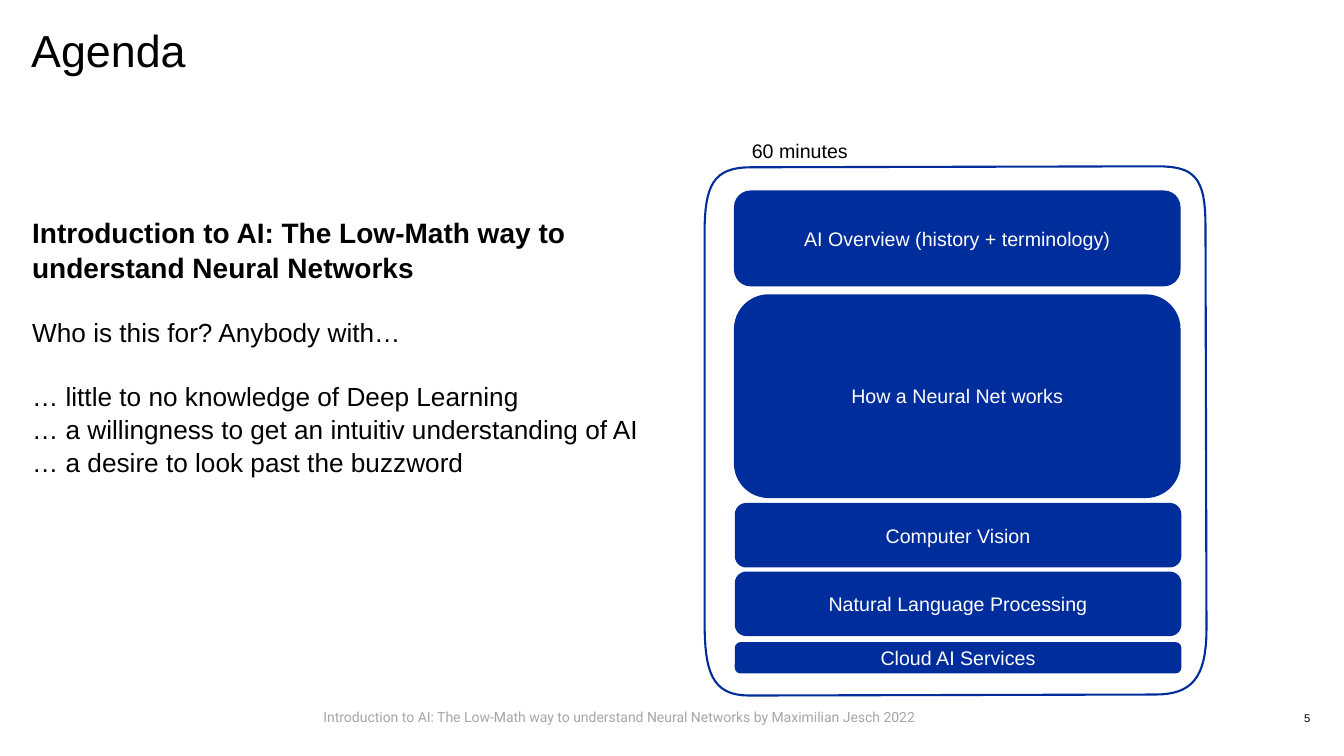
from lxml.etree import SubElement
from pptx import Presentation
from pptx.dml.color import RGBColor
from pptx.enum.shapes import MSO_SHAPE as Shape
from pptx.enum.text import MSO_ANCHOR as Anchor, PP_ALIGN as Align
from pptx.util import Pt

COLORS = {"ink": "000000", "blue": "002D9C", "white": "FFFFFF", "grey": "A6A6A6"}
TITLE_ONLY = 5
TOPICS = [
    ("AI Overview (history + terminology)", 525, 136.8, 67),
    ("How a Neural Net works", 525, 211, 144),
    ("Computer Vision", 525.6, 360, 44.6),
    ("Natural Language Processing", 525.6, 409, 44.6),
    ("Cloud AI Services", 525.6, 459.4, 20.9),
]
FRAME_CORNERS = [
    ((503.3, 166.3), (503.3, 131.8), (509.8, 119.5), (536.4, 119.5)),
    ((826.6, 118.8), (853.2, 118.8), (861.1, 126.7), (861.1, 161.3)),
    ((861.8, 449.3), (861.8, 484.6), (851, 496.1), (825.1, 496.1)),
    ((535, 496.8), (508.3, 496.8), (503.3, 479.5), (503.3, 444.2)),
]
INTRO = [
    ("Introduction to AI: The Low-Math way to understand Neural Networks", 20, True, 0),
    ("Who is this for? Anybody with…", 18.7, False, 22.4),
    ("… little to no knowledge of Deep Learning", 18.7, False, 22.4),
    ("… a willingness to get an intuitiv understanding of AI", 18.7, False, 0),
    ("… a desire to look past the buzzword", 18.7, False, 0),
]


def color(name):
    """Return the named colour."""
    return RGBColor.from_string(COLORS[name])


def write(para, text, size, ink="ink", font="Arial", bold=False, align=Align.LEFT):
    """Add one formatted run to a paragraph."""
    para.alignment = align
    span = para.add_run()
    span.text = text
    span.font.name = font
    span.font.size = Pt(size)
    span.font.bold = bold
    span.font.color.rgb = color(ink)


def set_frame(box, inset_x=0, inset_y=0, anchor=Anchor.TOP):
    """Set the insets, wrapping and anchor of a box and return its text frame."""
    frame = box.text_frame
    frame.word_wrap = True
    frame.vertical_anchor = anchor
    frame.margin_left = frame.margin_right = Pt(inset_x)
    frame.margin_top = frame.margin_bottom = Pt(inset_y)
    return frame


def add_text(page, place, inset_x=0, inset_y=0, anchor=Anchor.TOP):
    """Add a text box and return its text frame."""
    box = page.shapes.add_textbox(*map(Pt, place))
    return set_frame(box, inset_x, inset_y, anchor)


def add_title(page, text):
    """Place and fill the title placeholder."""
    title = page.shapes.title
    title.left, title.top, title.width, title.height = map(Pt, (22.3, 20.9, 435, 84))
    para = set_frame(title).paragraphs[0]
    para.line_spacing = 0.9
    write(para, text, 32)


def add_intro(page):
    """Add the description of the talk and its audience."""
    frame = add_text(page, (23, 153, 457, 318))
    for index, (text, size, bold, gap) in enumerate(INTRO):
        para = frame.add_paragraph() if index else frame.paragraphs[0]
        para.line_spacing = 1.04
        para.space_before = Pt(gap)
        write(para, text, size, bold=bold)


def add_topic(page, text, left, top, height):
    """Add one rounded agenda block."""
    block = page.shapes.add_shape(
        Shape.ROUNDED_RECTANGLE, Pt(left), Pt(top), Pt(317.5), Pt(height))
    block.shadow.inherit = False
    block.fill.solid()
    block.fill.fore_color.rgb = color("blue")
    block.line.color.rgb = color("blue")
    block.line.width = Pt(1.5)
    frame = set_frame(block, 7.2, 7.2, Anchor.MIDDLE)
    write(frame.paragraphs[0], text, 14, "white", align=Align.CENTER)


def curve(points, steps=16):
    """Return points along a cubic Bezier curve, in EMU."""
    result = []
    for step in range(steps + 1):
        t = step / steps
        weights = ((1 - t) ** 3, 3 * t * (1 - t) ** 2, 3 * t * t * (1 - t), t ** 3)
        result.append(tuple(
            Pt(sum(weight * value for weight, value in zip(weights, axis)))
            for axis in zip(*points)))
    return result


def add_outline(page):
    """Draw the hand-shaped frame around the agenda blocks."""
    vertices = [vertex for corner in FRAME_CORNERS for vertex in curve(corner)]
    builder = page.shapes.build_freeform(*vertices[0])
    builder.add_line_segments(vertices[1:], close=True)
    outline = builder.convert_to_shape()
    outline.shadow.inherit = False
    outline.fill.background()
    outline.line.color.rgb = color("blue")
    outline.line.width = Pt(1.5)
    SubElement(outline.line._get_or_add_ln(), "{%s}round" % outline._element.nsmap["a"])


def main():
    """Build the agenda slide."""
    deck = Presentation()
    deck.slide_width, deck.slide_height = Pt(960), Pt(540)
    page = deck.slides.add_slide(deck.slide_layouts[TITLE_ONLY])
    add_title(page, "Agenda")
    add_intro(page)
    add_outline(page)
    for topic in TOPICS:
        add_topic(page, *topic)
    duration = add_text(page, (529.9, 92.2, 107.3, 30), 7.2, 7.2)
    write(duration.paragraphs[0], "60 minutes", 14)
    number = add_text(page, (743.8, 504, 192.2, 17.3), anchor=Anchor.MIDDLE)
    write(number.paragraphs[0], "5", 8, align=Align.RIGHT)
    footer = add_text(page, (223.9, 502.6, 491.8, 19.4), 7.2, 3.6)
    write(footer.paragraphs[0],
          "Introduction to AI: The Low-Math way to understand Neural Networks"
          " by Maximilian Jesch 2022", 10, "grey", "Roboto")
    deck.save("out.pptx")


if __name__ == "__main__":
    main()
